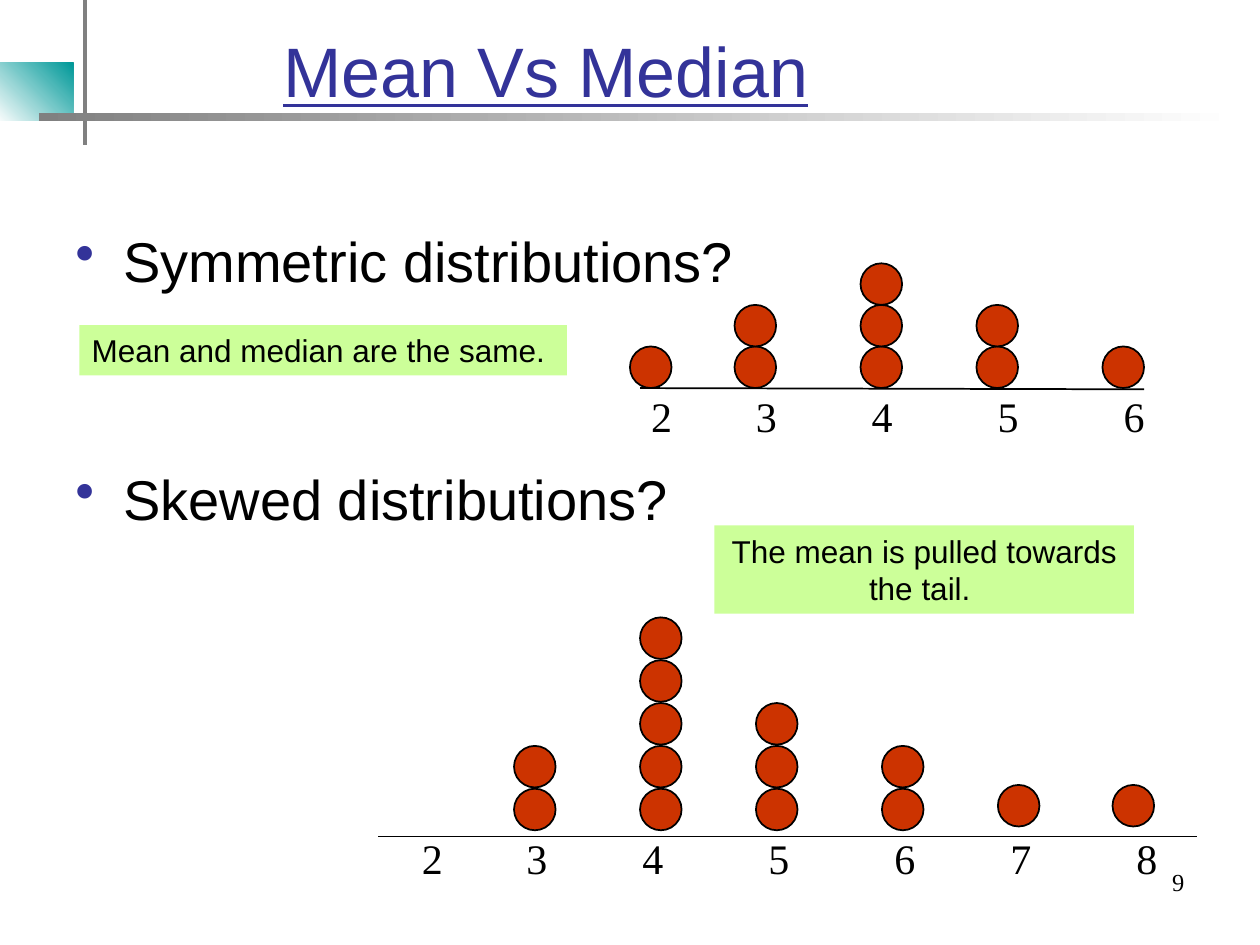
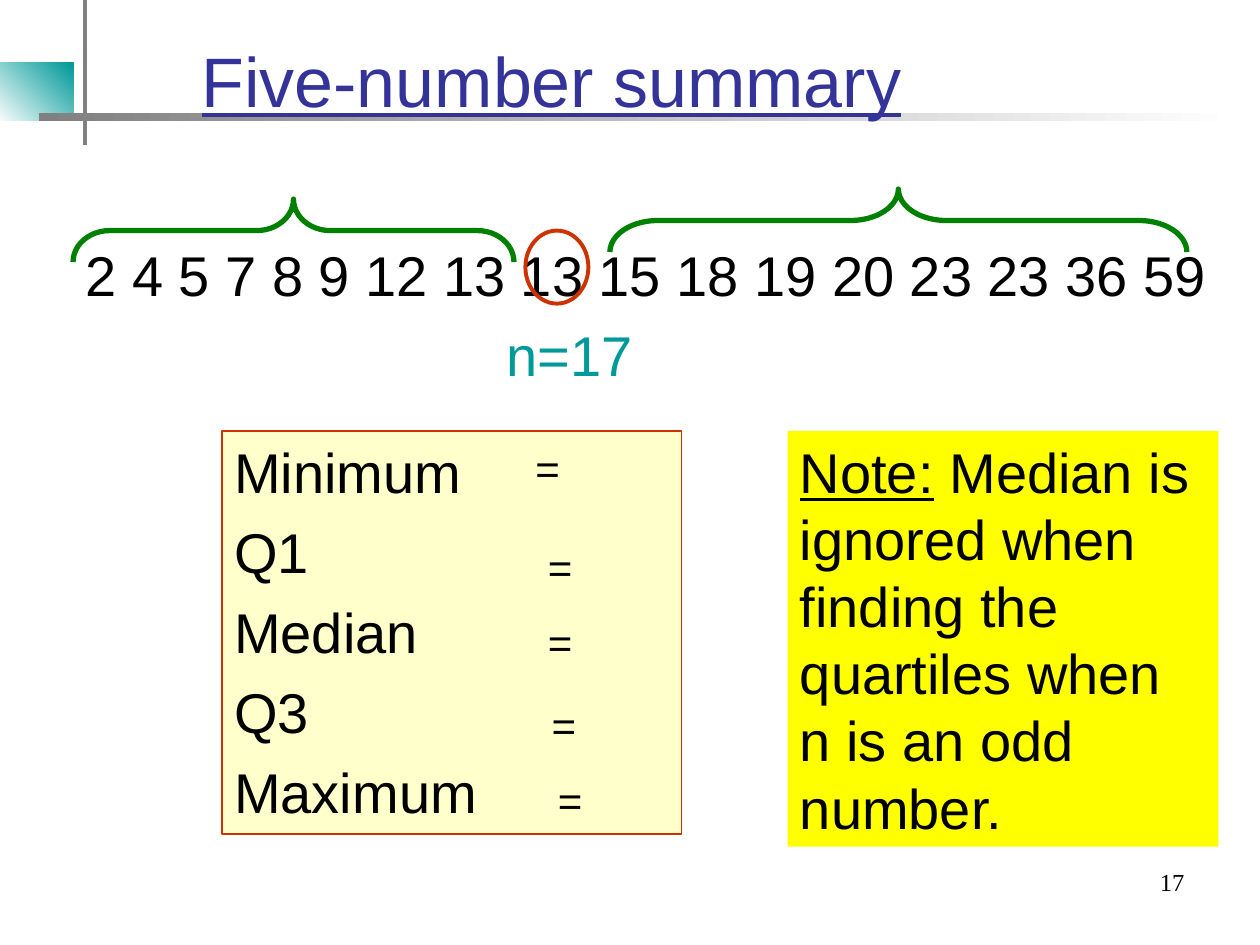
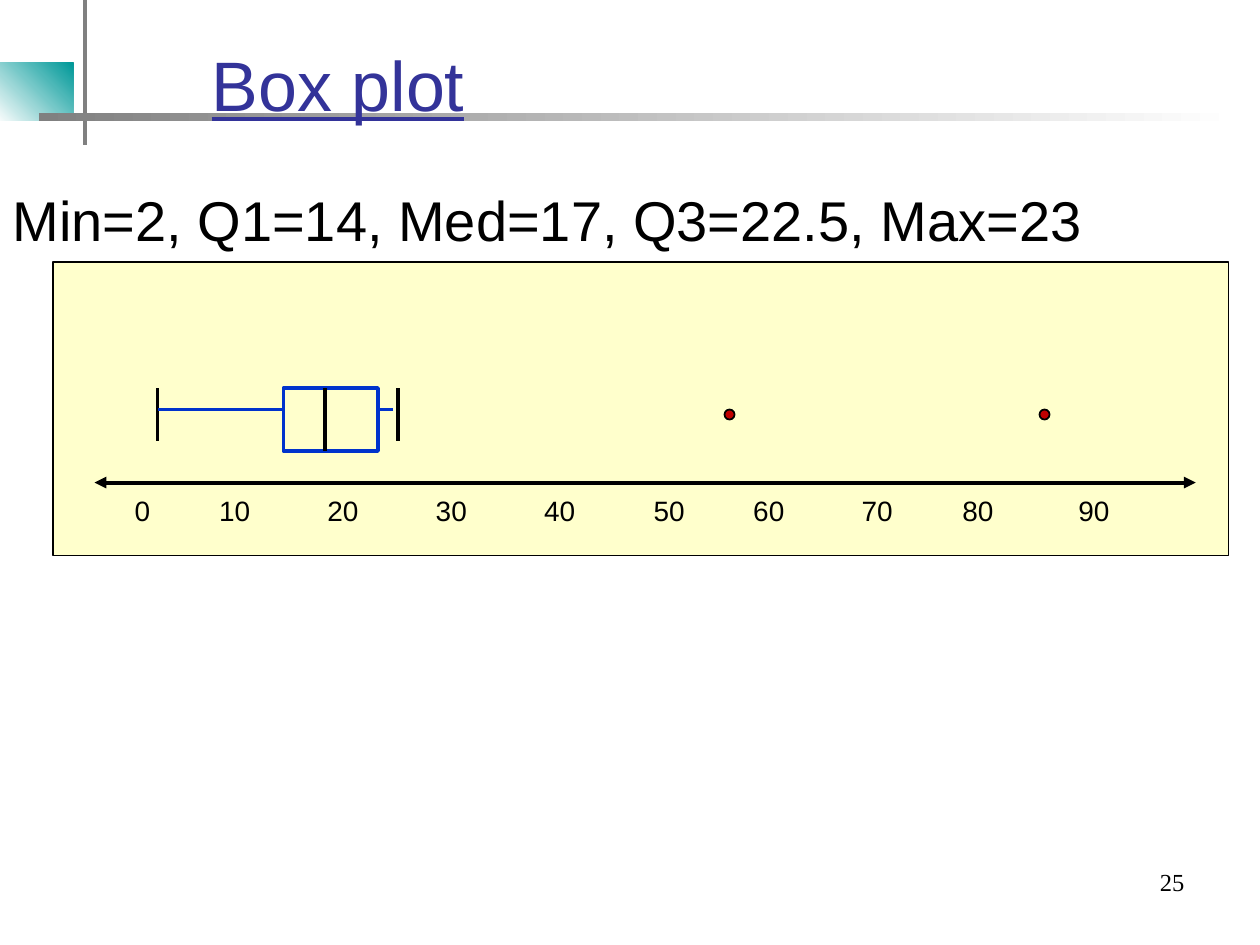
from lxml import etree
from pptx import Presentation
from pptx.dml.color import RGBColor
from pptx.enum.shapes import MSO_CONNECTOR as Connector, MSO_SHAPE as Kind
from pptx.enum.text import MSO_ANCHOR as Anchor, MSO_AUTO_SIZE as AutoSize, PP_ALIGN as Align
from pptx.oxml.ns import qn
from pptx.util import Inches, Pt

COLORS = {
    "ink": "000000", "title": "333399", "teal": "009999", "gray": "808080",
    "white": "FFFFFF", "red": "CC3300", "green": "008000", "lime": "CCFF99",
    "cream": "FFFFCC", "yellow": "FFFF00", "blue": "0033CC", "outlier": "C00000",
}
RGB = {name: RGBColor.from_string(value) for name, value in COLORS.items()}
LINE_GAP = 7.4  # points between paragraphs of 32-point text


def add_box(page, kind, place, fill=None, line=None, width=1):
    """Add a preset shape, or a text box when kind is None."""
    place = [Inches(value) for value in place]
    if kind is None:
        return page.shapes.add_textbox(*place)
    box = page.shapes.add_shape(kind, *place)
    box.shadow.inherit = False
    if fill:
        box.fill.solid()
        box.fill.fore_color.rgb = RGB[fill]
    else:
        box.fill.background()
    if line:
        box.line.color.rgb = RGB[line]
        box.line.width = Pt(width)
    else:
        box.line.fill.background()
    return box


def write(box, lines, size=32, color="ink", font="Arial", align=Align.LEFT,
          before=0, anchor=Anchor.TOP, underline=None):
    """Fill a shape with one paragraph per line and return the paragraphs."""
    frame = box.text_frame
    for name, value in {"word_wrap": True, "auto_size": AutoSize.NONE,
                        "vertical_anchor": anchor}.items():
        setattr(frame, name, value)
    frame.text = "\n".join(lines)
    for para in frame.paragraphs:
        para.alignment = align
        para.space_before = Pt(before)
        for span in para.runs:
            for name, value in {"size": Pt(size), "name": font, "underline": underline}.items():
                setattr(span.font, name, value)
            span.font.color.rgb = RGB[color]
    return frame.paragraphs


deck = Presentation()
deck.slide_width, deck.slide_height = Inches(10), Inches(7.5)
layout = deck.slide_layouts[5]

# Pages with title and page number
titles = [
    ("Mean Vs Median", (-0.17, -0.07, 9, 1.25), Align.CENTER, "9"),
    ("Five-number summary", (1.5, 0.17, 8.5, 0.92), Align.LEFT, "17"),
    ("Box plot", (1.58, 0.08, 8.5, 1.17), Align.LEFT, "25"),
]
pages = []
for words, place, align, number in titles:
    page = deck.slides.add_slide(layout)
    title = page.shapes.title
    for name, value in zip(("left", "top", "width", "height"), place):
        setattr(title, name, Inches(value))
    write(title, [words], 40, "title", align=align, anchor=Anchor.MIDDLE, underline=True)
    write(add_box(page, None, (7.17, 6.83, 2.33, 0.52)), [number], 14,
          font="Times New Roman", align=Align.RIGHT)
    pages.append(page)
means, summary, plot = pages

# Corner decoration, moved to the shared layout
decorations = [
    ((-0.03, 0.5, 0.61, 0.46), "white", "teal", 45),
    ((0.66, 0, 0.03, 1.15), "gray", None, 0),
    ((0.31, 0.9, 9.51, 0.06), "gray", "white", 0),
]
for index, (place, start, end, angle) in enumerate(decorations):
    band = add_box(means, Kind.RECTANGLE, place, start)
    if end:
        band.fill.gradient()
        band.fill.gradient_angle = angle
        for stop, color in zip(band.fill.gradient_stops, (start, end)):
            stop.color.rgb = RGB[color]
    layout.shapes.element.insert(2 + index, band.element)

# Mean vs median: questions
questions = write(add_box(means, None, (0.5, 1.75, 9, 4.95)),
                  ["Symmetric distributions?", "Skewed distributions?"], before=LINE_GAP)
questions[1].space_before = Pt(97.5)
for para in questions:
    props = para._p.get_or_add_pPr()
    props.set("marL", str(Inches(0.38)))
    props.set("indent", str(-Inches(0.38)))
    bullet_color = etree.SubElement(props, qn("a:buClr"))
    etree.SubElement(bullet_color, qn("a:srgbClr"), val=COLORS["title"])
    etree.SubElement(props, qn("a:buChar"), char="•")

# Mean vs median: dot plots as (left, lowest top, count) columns
dot_plots = [
    (0.33, [(5, 2.75, 1), (5.83, 2.75, 2), (6.83, 2.75, 3), (7.75, 2.75, 2), (8.75, 2.75, 1)]),
    (0.34, [(4.08, 6.26, 2), (5.08, 6.26, 5), (6, 6.26, 3), (7, 6.26, 2),
            (7.92, 6.23, 1), (8.83, 6.23, 1)]),
]
for pitch, columns in dot_plots:
    for left, base, count in columns:
        for level in range(count):
            add_box(means, Kind.OVAL, (left, base - level * pitch, 0.33, 0.33), "red", "ink")

# Mean vs median: answers
answers = [
    ("Mean and median are the same.", (0.63, 2.58, 3.87, 0.4), Align.LEFT),
    ("The mean is pulled towards the tail. ", (5.67, 4.17, 3.33, 0.7), Align.CENTER),
]
for words, place, align in answers:
    write(add_box(means, Kind.RECTANGLE, place, "lime"), [words], 18, align=align)

# Five-number summary: data and sample size
data = write(add_box(summary, None, (0.58, 1.86, 9.25, 4.81)),
             ["2 4 5 7 8 9 12 13 13 15 18 19 20 23 23 36 59", "n=17"], before=LINE_GAP)
data[1].runs[0].font.color.rgb = RGB["teal"]
data[1]._p.get_or_add_pPr().set("marL", str(Inches(3.34)))

# Five-number summary: median ring and braces over the halves
add_box(summary, Kind.OVAL, (4.17, 1.83, 0.5, 0.58), line="red", width=2.25)
for place, curve in [((2.08, 0.08, 0.5, 3.5), 0.583), ((6.88, -0.54, 0.5, 4.58), 0.764)]:
    brace = add_box(summary, Kind.RIGHT_BRACE, place, line="green", width=3)
    brace.rotation = 270
    brace.adjustments[0] = curve
    brace.adjustments[1] = 0.5

# Five-number summary: measures, equals signs and note
write(add_box(summary, Kind.RECTANGLE, (1.76, 3.42, 3.65, 3.2), "cream", "red"),
      ["Minimum", "Q1", "Median", "Q3", "Maximum"], before=LINE_GAP)
for left, top in [(4.15, 3.46), (4.25, 4.25), (4.25, 4.84), (4.28, 5.5), (4.33, 6.1)]:
    write(add_box(summary, None, (left, top, 0.4, 0.5)), ["="], 24)

note = write(add_box(summary, Kind.RECTANGLE, (6.25, 3.42, 3.42, 3.3), "yellow"),
             ["Note:"], underline=True)[0]
span = note.add_run()
span.text = " Median is ignored when finding the quartiles when n is an odd number."
for name, value in {"size": Pt(32), "name": "Arial", "underline": False}.items():
    setattr(span.font, name, value)
span.font.color.rgb = RGB["ink"]

# Box plot: panel, heading, quartile box and outliers
add_box(plot, Kind.RECTANGLE, (0.42, 2.08, 9.33, 2.33), "cream", "ink")
write(add_box(plot, None, (0, 1.42, 9, 0.7)),
      ["Min=2, Q1=14, Med=17, Q3=22.5, Max=23"], before=LINE_GAP)
add_box(plot, Kind.RECTANGLE, (2.25, 3.08, 0.75, 0.5), line="blue", width=2.25)
for left in (5.75, 8.25):
    add_box(plot, Kind.OVAL, (left, 3.25, 0.08, 0.08), "outlier", "ink")

# Axis labels, spaced by tab stops
dot_stops = [0.83, 1.75, 2.75, 3.75, 4.67, 5.67]
plot_stops = [0.67, 1.53, 2.39, 3.25, 4.12, 4.91, 5.77, 6.57, 7.49]
axes = [
    (means, (5.07, 3.05, 4.35, 0.5), range(2, 7), dot_stops, 24, "Times New Roman"),
    (means, (3.25, 6.56, 6.25, 0.5), range(2, 9), dot_stops, 24, "Times New Roman"),
    (plot, (0.97, 3.87, 8.17, 0.38), range(0, 100, 10), plot_stops, 16, "Arial"),
]
for page, place, values, stops, size, font in axes:
    labels = write(add_box(page, None, place), ["\t".join(map(str, values))], size, font=font)[0]
    tabs = etree.SubElement(labels._p.get_or_add_pPr(), qn("a:tabLst"))
    for stop in stops[:len(values) - 1]:
        etree.SubElement(tabs, qn("a:tab"), pos=str(Inches(stop)), algn="l")

# Axis lines, whiskers and median
lines = [
    (means, (5.08, 3.08, 9.08, 3.09), "ink", 1, False),
    (means, (3, 6.64, 9.5, 6.64), "ink", 1, False),
    (plot, (0.75, 3.83, 9.49, 3.83), "ink", 2.25, True),
    (plot, (1.25, 3.08, 1.25, 3.5), "ink", 2.25, False),
    (plot, (2.58, 3.08, 2.58, 3.58), "ink", 2.25, False),
    (plot, (3.16, 3.08, 3.16, 3.5), "ink", 2.25, False),
    (plot, (2.25, 3.25, 1.25, 3.25), "blue", 2.25, False),
    (plot, (3.12, 3.25, 3, 3.25), "blue", 2.25, False),
]
for page, ends, color, width, arrows in lines:
    line = page.shapes.add_connector(Connector.STRAIGHT, *[Inches(value) for value in ends])
    line.line.color.rgb = RGB[color]
    line.line.width = Pt(width)
    if arrows:
        for end in ("a:headEnd", "a:tailEnd"):
            etree.SubElement(line.line._get_or_add_ln(), qn(end), type="triangle")
    etree.SubElement(line.element.spPr, qn("a:effectLst"))

deck.save("out.pptx")
